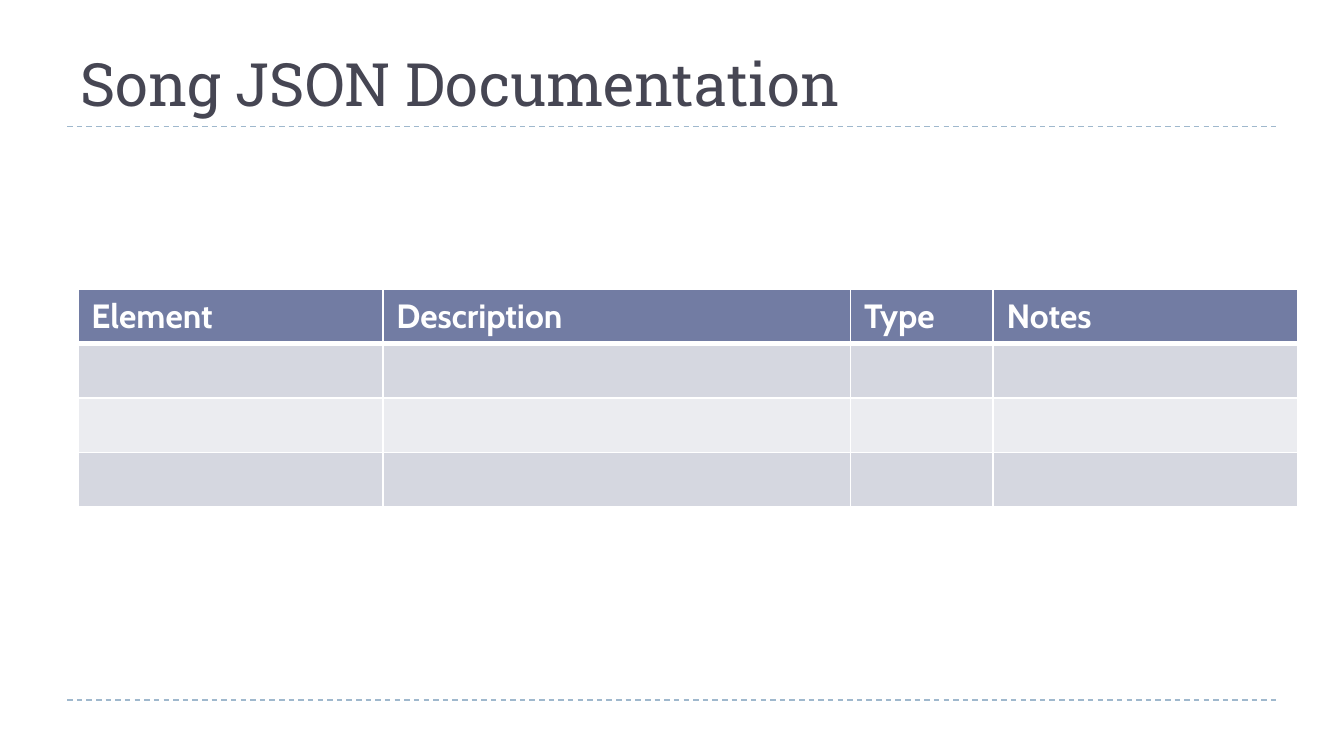
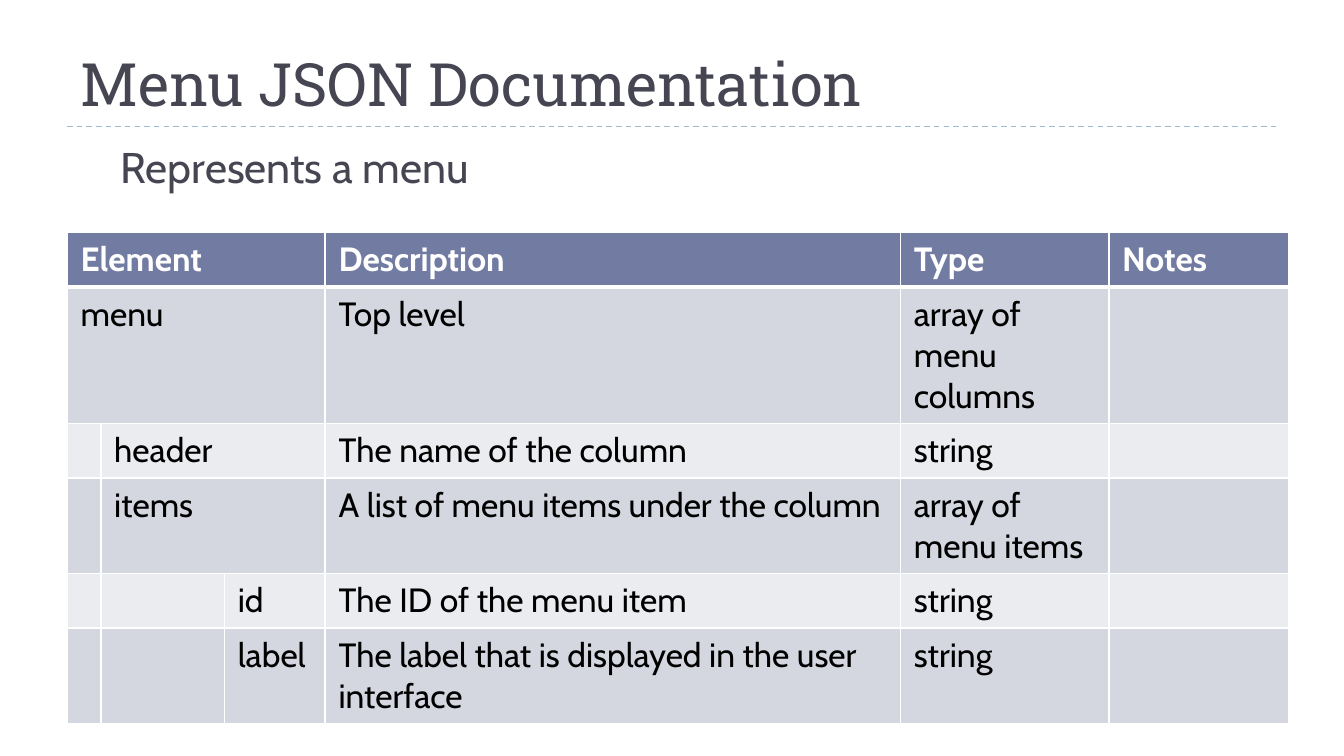
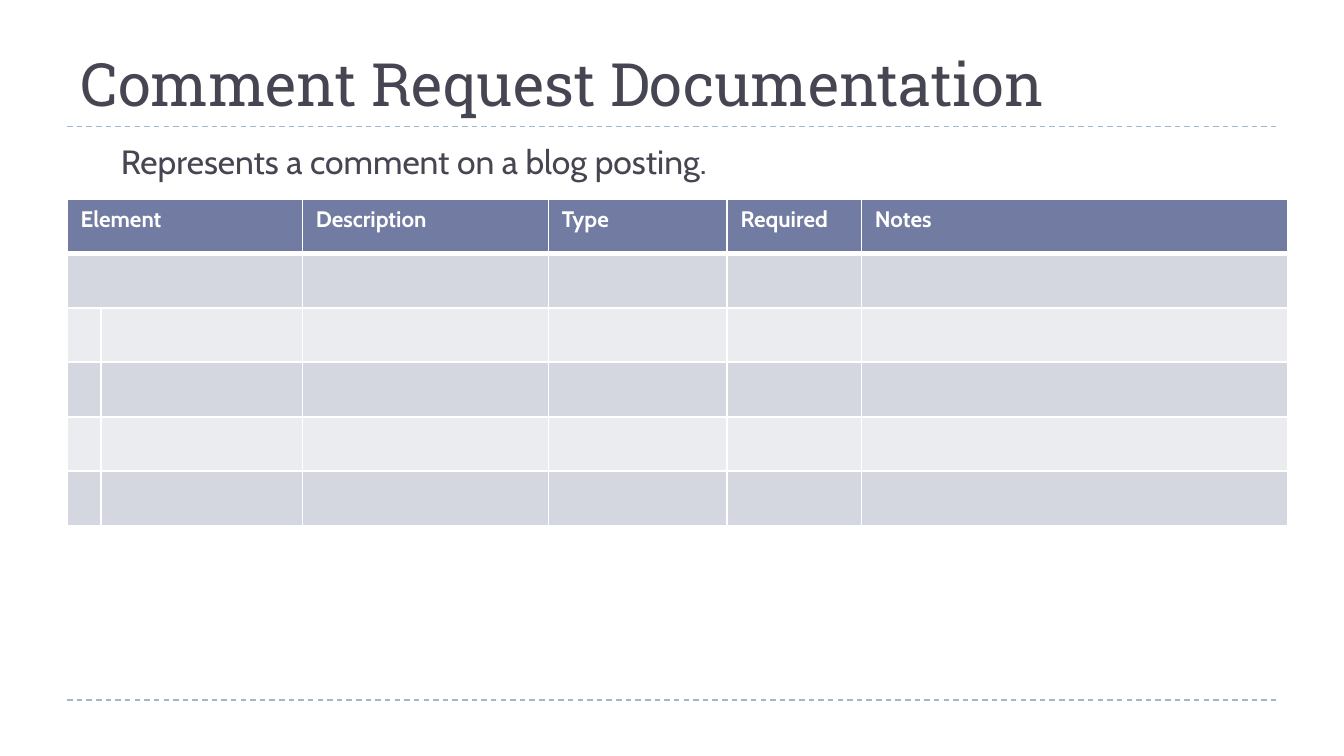
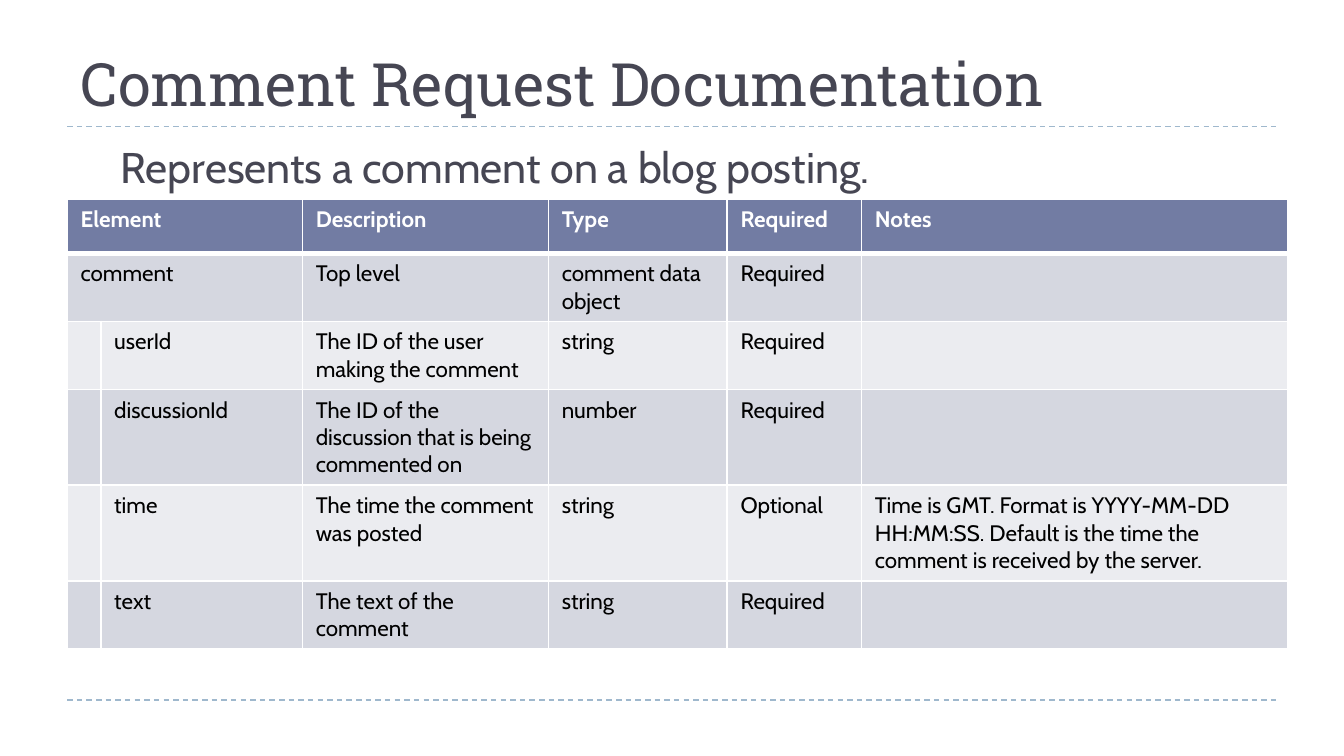
from lxml import etree
from pptx import Presentation
from pptx import util as u
from pptx.dml import color
from pptx.enum import dml, shapes, text
from pptx.oxml import ns

# Shared look
INK, RULE, HEADER = "464653", "9FB8CD", "727CA3"
BANDS = ["EBECF0", "D5D7E0"]
WHITE, BLACK = "FFFFFF", "000000"
TITLE_FONT, BODY_FONT = "Roboto Slab", "Cabin"
ROW_HEIGHT = 0.81 / 2
RULE_TOPS = [5.21, 0.94]

# Slide contents; None in a row continues the cell on its left
COMMENT_COLUMNS = [0.25, 1.5, 1.83, 1.33, 1, 3.17]
COMMENT_HEADER = ["Element", None, "Description", "Type", "Required", "Notes"]
pages = [
    dict(title="Song JSON Documentation", subtitle="", subtitle_size=0,
         left=0.58, top=2.15, cell_size=18, columns=[2.27, 3.48, 1.06, 2.27],
         rows=[["Element", "Description", "Type", "Notes"]] + [[""] * 4] * 3),
    dict(title="Menu JSON Documentation", subtitle="Represents a menu", subtitle_size=23,
         left=0.5, top=1.73, cell_size=18, columns=[0.25, 0.92, 0.75, 4.28, 1.55, 1.34],
         rows=[
             ["Element", None, None, "Description", "Type", "Notes"],
             ["menu", None, None, "Top level", "array of menu columns", ""],
             ["", "header", None, "The name of the column", "string", ""],
             ["", "items", None, "A list of menu items under the column", "array of menu items", ""],
             ["", "", "id", "The ID of the menu item", "string", ""],
             ["", "", "label", "The label that is displayed in the user interface", "string", ""],
         ]),
    dict(title="Comment Request Documentation",
         subtitle="Represents a comment on a blog posting.", subtitle_size=18,
         left=0.5, top=1.48, cell_size=12, columns=COMMENT_COLUMNS,
         rows=[COMMENT_HEADER, ["", None, "", "", "", ""]] + [[""] * 6] * 4),
    dict(title="Comment Request Documentation",
         subtitle="Represents a comment on a blog posting.", subtitle_size=23,
         left=0.5, top=1.48, cell_size=12, columns=COMMENT_COLUMNS,
         rows=[
             COMMENT_HEADER,
             ["comment", None, "Top level", "comment data object", "Required", ""],
             ["", "userId", "The ID of the user making the comment", "string", "Required", ""],
             ["", "discussionId", "The ID of the discussion that is being commented on",
              "number", "Required", ""],
             ["", "time", "The time the comment was posted", "string", "Optional",
              "Time is GMT. Format is YYYY-MM-DD HH:MM:SS. Default is the time the "
              "comment is received by the server."],
             ["", "text", "The text of the comment", "string", "Required", ""],
         ]),
]


def rgb(value):
    return color.RGBColor.from_string(value)


def write(text_frame, words, size, font, ink, bold=False):
    text_frame.text = words
    paragraph = text_frame.paragraphs[0]
    paragraph.alignment = text.PP_ALIGN.LEFT
    for run in paragraph.runs:
        run.font.size = u.Pt(size)
        run.font.name = font
        run.font.bold = bold
        run.font.color.rgb = rgb(ink)


# Widescreen 16:9
presentation = Presentation()
presentation.slide_width = u.Inches(10)
presentation.slide_height = u.Inches(10 * 9 / 16)

for page in pages:
    slide = presentation.slides.add_slide(presentation.slide_layouts[5])

    # Dashed rules
    for top in RULE_TOPS:
        rule = slide.shapes.add_connector(
            shapes.MSO_CONNECTOR.STRAIGHT,
            u.Inches(0.5), u.Inches(top), u.Inches(9.5), u.Inches(top))
        rule.line.color.rgb = rgb(RULE)
        rule.line.width = u.Pt(0.75)
        rule.line.dash_style = dml.MSO_LINE.DASH
        etree.SubElement(rule._element.spPr, ns.qn("a:effectLst"))

    # Title
    title = slide.shapes.title
    title.left, title.top = u.Inches(0.5), u.Inches(0.12)
    title.width, title.height = u.Inches(9), u.Inches(0.81)
    title.text_frame.vertical_anchor = text.MSO_ANCHOR.BOTTOM
    title.text_frame.auto_size = text.MSO_AUTO_SIZE.NONE
    write(title.text_frame, page["title"], 32, TITLE_FONT, INK)

    # Table
    rows, columns = page["rows"], page["columns"]
    table = slide.shapes.add_table(
        len(rows), len(columns), u.Inches(page["left"]), u.Inches(page["top"]),
        u.Inches(sum(columns)), u.Inches(ROW_HEIGHT * len(rows))).table
    for column, width in zip(table.columns, columns):
        column.width = u.Inches(width)

    for row_index, row in enumerate(rows):
        is_header = row_index == 0
        for column_index, words in enumerate(row):
            cell = table.cell(row_index, column_index)

            # White borders, heavier under the header
            properties = cell._tc.get_or_add_tcPr()
            for side in "LRTB":
                heavy = (side == "B" and row_index == 0) or (side == "T" and row_index == 1)
                border = etree.SubElement(properties, ns.qn("a:ln" + side),
                                          w=str(u.Pt(3 if heavy else 1)))
                fill = etree.SubElement(border, ns.qn("a:solidFill"))
                etree.SubElement(fill, ns.qn("a:srgbClr"), val=WHITE)

            cell.fill.solid()
            cell.fill.fore_color.rgb = rgb(HEADER if is_header else BANDS[row_index % 2])
            if words:
                write(cell.text_frame, words, page["cell_size"], BODY_FONT,
                      WHITE if is_header else BLACK, is_header)

        # Merge each cell with the None entries that follow it
        for start, words in enumerate(row):
            end = start
            while end + 1 < len(row) and row[end + 1] is None:
                end += 1
            if words is not None and end > start:
                table.cell(row_index, start).merge(table.cell(row_index, end))

    # Subtitle
    if page["subtitle"]:
        subtitle = slide.shapes.add_textbox(
            u.Inches(0.5), u.Inches(1), u.Inches(9), u.Inches(0.65))
        subtitle.text_frame.word_wrap = True
        subtitle.text_frame.margin_left = u.Inches(0.4)
        write(subtitle.text_frame, page["subtitle"], page["subtitle_size"], BODY_FONT, INK)
        subtitle.text_frame.paragraphs[0].space_before = u.Pt(5)

presentation.save("out.pptx")
